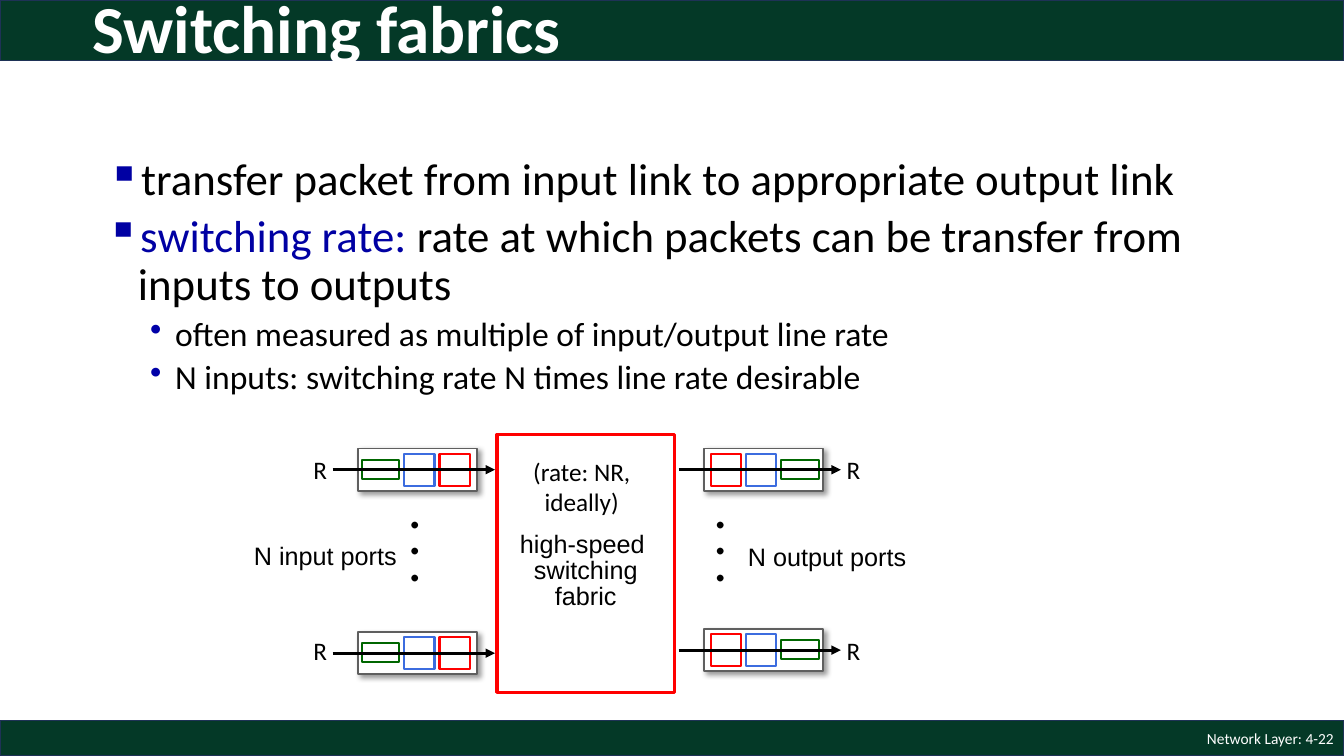
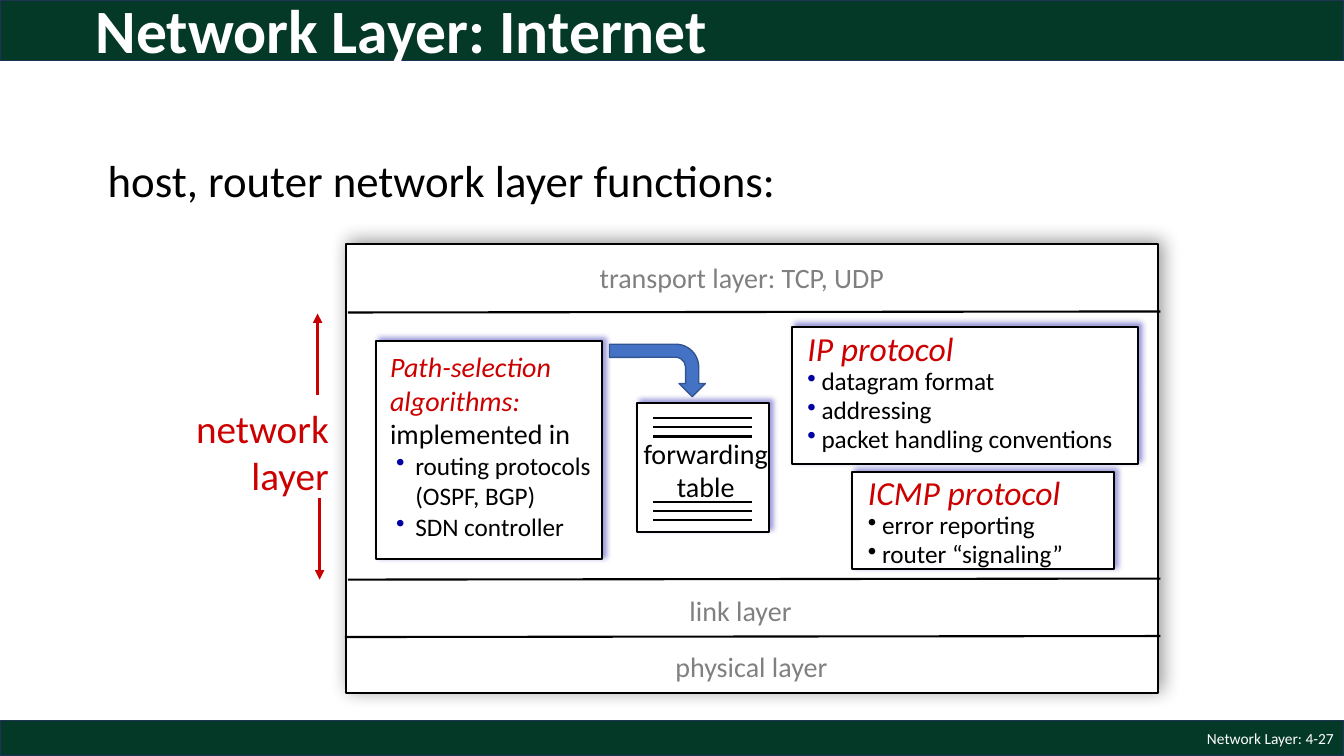
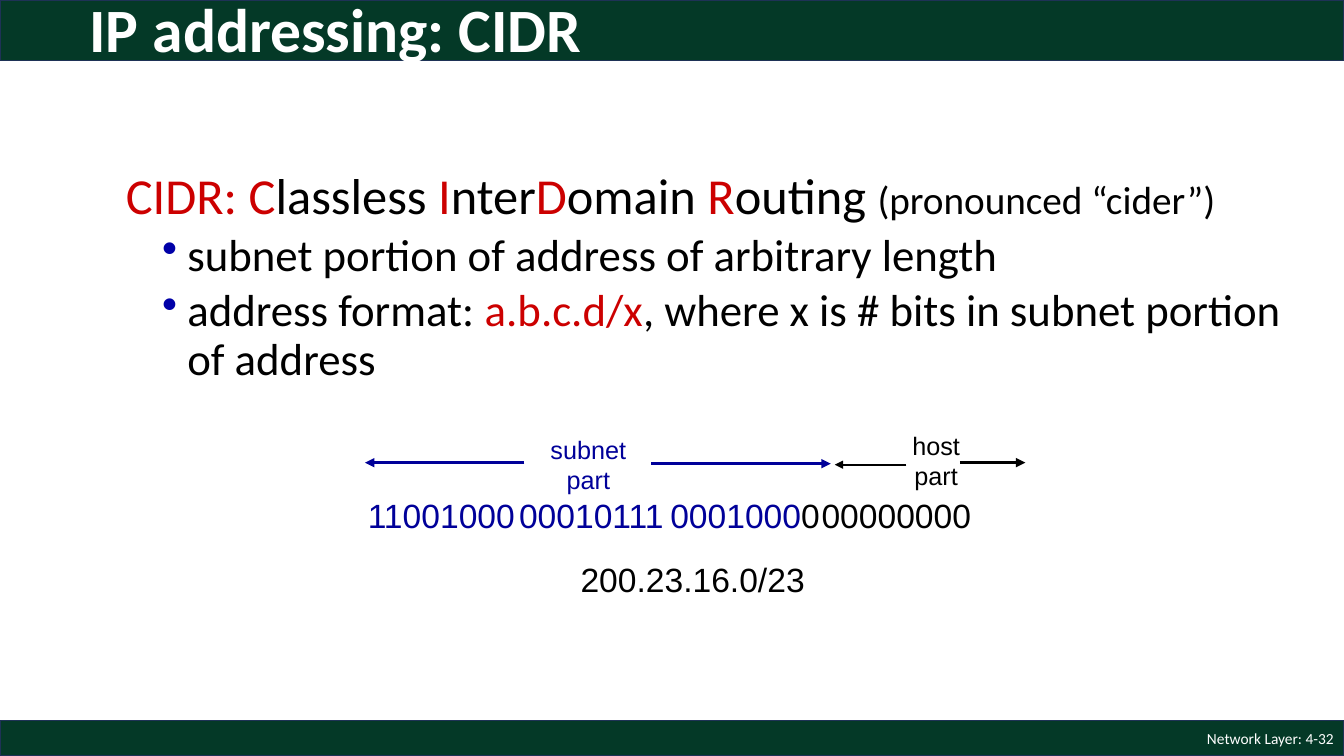
from dataclasses import dataclass
from typing import Any, NamedTuple, Optional

from lxml.etree import SubElement
from pptx import Presentation
from pptx.dml.color import RGBColor
from pptx.enum.shapes import MSO_CONNECTOR, MSO_SHAPE
from pptx.enum.text import MSO_ANCHOR, MSO_AUTO_SIZE, PP_ALIGN
from pptx.oxml.ns import qn
from pptx.util import Pt

PX = 9144  # EMU in one px, 100 px to the inch
WIDE, HIGH = 1333, 750
SANS, BODY = "Arial", "Calibri"
LEFT, MID, RIGHT = PP_ALIGN.LEFT, PP_ALIGN.CENTER, PP_ALIGN.RIGHT
HUES = {
    "black": "000000", "white": "FFFFFF", "band": "043927", "rim": "1E3256",
    "navy": "0000A3", "dot": "0000A8", "bits": "000099", "red": "CC0000",
    "hot": "FF0000", "green": "006600", "blue": "3C6CDF", "grey": "808080",
    "frame": "5F5F5F", "bend": "4472C4", "edge": "325491",
}


class Box(NamedTuple):
    x: int
    y: int
    w: int
    h: int


class Shade(NamedTuple):
    hue: str
    blur: int
    angle: int


class Run(NamedTuple):
    text: str
    size: int
    hue: str = "black"
    face: str = BODY
    bold: bool = False
    ital: bool = False


class Part(NamedTuple):
    """A cell of a port, placed from the frame's outer edge."""
    hue: str
    x: int
    y: int
    w: int
    h: int


@dataclass
class Para:
    runs: list[Run]
    align: Any = LEFT
    lead: float = 1.0
    before: int = 0
    mark: str = ""
    tint: str = "navy"
    left: int = 0
    hang: int = 0
    tabs: tuple[int, ...] = ()


GLOW = Shade("navy", 4, 315)
DROP = Shade("black", 4, 45)
PARTS = [Part("green", 4, 11, 37, 19), Part("blue", 46, 5, 30, 32),
         Part("hot", 81, 5, 30, 32)]


# Helpers
def rgb(hue: str) -> RGBColor:
    return RGBColor.from_string(HUES[hue])


def style(item: Any, form: dict[str, Any]) -> None:
    for name, value in form.items():
        setattr(item, name, value)


def shade(shape: Any, cast: Shade) -> None:
    shape.shadow.inherit = False
    node = SubElement(shape._element.spPr.find(qn("a:effectLst")),
                      qn("a:outerShdw"), blurRad=str(cast.blur * 12700),
                      dist="38100", dir=str(cast.angle * 60000),
                      algn="ctr", rotWithShape="0")
    color = SubElement(node, qn("a:srgbClr"), val=HUES[cast.hue])
    SubElement(color, qn("a:alpha"), val="40000")


def draw(slide: Any, box: Box, line: str, width: float, fill: str = "white",
         cast: Optional[Shade] = None, kind: Any = MSO_SHAPE.RECTANGLE,
         turn: int = 0) -> None:
    shape = slide.shapes.add_shape(kind, *(v * PX for v in box))
    shape.fill.solid()
    shape.fill.fore_color.rgb = rgb(fill)
    style(shape.line, {"width": Pt(width)})
    shape.line.color.rgb = rgb(line)
    shape.rotation = turn
    shape.shadow.inherit = False
    if cast:
        shade(shape, cast)


def rule(slide: Any, x1: int, y1: int, x2: int, y2: int, hue: str = "black",
         width: float = 1.5, head: bool = False) -> None:
    line = slide.shapes.add_connector(
        MSO_CONNECTOR.STRAIGHT, *(v * PX for v in (x1, y1, x2, y2)))
    line.line.color.rgb = rgb(hue)
    line.line.width = Pt(width)
    if head:
        SubElement(line.line._get_or_add_ln(), qn("a:tailEnd"), type="triangle")
    SubElement(line._element.spPr, qn("a:effectLst"))


def fill(spot: Any, para: Para) -> None:
    props = spot._p.get_or_add_pPr()
    props.set("marL", str(para.left * PX))
    props.set("indent", str(-para.hang * PX))
    if para.mark:
        color = SubElement(props, qn("a:buClr"))
        SubElement(color, qn("a:srgbClr"), val=HUES[para.tint])
        SubElement(props, qn("a:buChar"), char=para.mark)
    else:
        SubElement(props, qn("a:buNone"))
    if para.tabs:
        stops = SubElement(props, qn("a:tabLst"))
        for stop in para.tabs:
            SubElement(stops, qn("a:tab"), pos=str(stop * PX), algn="l")
    style(spot, {"alignment": para.align, "line_spacing": para.lead,
                 "space_before": Pt(para.before)})
    for run in para.runs:
        piece = spot.add_run()
        piece.text = run.text
        style(piece.font, {"size": Pt(run.size), "name": run.face,
                           "bold": run.bold, "italic": run.ital})
        piece.font.color.rgb = rgb(run.hue)


def write(slide: Any, box: Box, paras: list[Para], wrap: bool = True,
          grow: bool = True, mid: bool = False, turn: int = 0) -> None:
    shape = slide.shapes.add_textbox(*(v * PX for v in box))
    shape.rotation = turn
    frame = shape.text_frame
    style(frame, {
        "word_wrap": wrap,
        "auto_size": MSO_AUTO_SIZE.SHAPE_TO_FIT_TEXT if grow else MSO_AUTO_SIZE.NONE,
        "vertical_anchor": MSO_ANCHOR.MIDDLE if mid else MSO_ANCHOR.TOP,
    })
    for i, para in enumerate(paras):
        fill(frame.add_paragraph() if i else frame.paragraphs[0], para)


def label(slide: Any, box: Box, lines: list[str], size: int,
          hue: str = "black", face: str = BODY, align: Any = LEFT,
          lead: float = 1.0) -> None:
    write(slide, box, [Para([Run(t, size, hue, face)], align, lead)
                       for t in lines], wrap=False)


def point(runs: list[Run]) -> Para:
    return Para(runs, lead=0.9, before=5, mark="•", tint="dot", left=76, hang=25)


def start(deck: Any, page: int) -> Any:
    """Blank slide with both bands and the footer."""
    slide = deck.slides.add_slide(deck.slide_layouts[6])
    for y, h in ((715, 35), (0, 60)):
        draw(slide, Box(0, y, WIDE, h), "rim", 1, "band")
    write(slide, Box(1033, 715, 300, 35),
          [Para([Run(f"Network Layer: 4-{page}", 11, "white")], RIGHT)],
          grow=False, mid=True)
    return slide


def title(slide: Any, text: str, x: int, y: int, size: int = 44) -> None:
    write(slide, Box(x, y, 1150, 98),
          [Para([Run(text, size, "white", bold=True)], lead=0.9)],
          grow=False, mid=True)


# Switching fabrics
def port(slide: Any, x: int, y: int, flip: bool) -> None:
    draw(slide, Box(x, y, 118, 42), "frame", 1.25, cast=DROP)
    for part in PARTS:
        side = 118 - part.x - part.w if flip else part.x
        draw(slide, Box(x + side, y + part.y, part.w, part.h), part.hue, 1.5)
    rule(slide, x - 25, y + 21, x + 136, y + 21, width=2.25, head=True)


def fabric(deck: Any) -> None:
    slide = start(deck, 22)
    title(slide, "Switching fabrics", 82, -18, 48)
    square = {"lead": 0.9, "mark": "▪", "left": 39, "hang": 31}
    write(slide, Box(89, 151, 1207, 69), [Para([Run(
        "transfer packet from input link to appropriate output link", 32)],
        **square)], grow=False)
    write(slide, Box(88, 207, 1207, 253), [
        Para([Run("switching rate: ", 32, "navy"),
              Run("rate at which packets can be transfer from inputs to outputs",
                  32)], **square),
        point([Run("often measured as multiple of input/output line rate", 24)]),
        point([Run("N inputs: switching rate N times line rate desirable", 24)]),
    ], grow=False)

    # Fabric
    draw(slide, Box(493, 431, 176, 256), "hot", 2.25)
    label(slide, Box(505, 524, 152, 87), ["high-speed ", "switching", "fabric"],
          18, face=SANS, align=MID, lead=0.85)
    write(slide, Box(504, 448, 146, 71),
          [Para([Run("(rate: NR, ideally)", 18)], MID)])

    # Ports
    for x, y, flip in ((355, 445, False), (355, 627, False),
                       (698, 445, True), (698, 624, True)):
        port(slide, x, y, flip)
    label(slide, Box(242, 531, 163, 40), ["N input ports"], 18, face=SANS)
    label(slide, Box(732, 532, 179, 40), ["N output ports"], 18, face=SANS)
    for x in (380, 683):
        write(slide, Box(x, 509, 101, 77), [Para([Run(". . .", 40)], MID)],
              turn=90)
    for x in (301, 830):
        for y in (446, 625):
            label(slide, Box(x, y, 34, 40), ["R"], 18)


# Network layer
def notes(head: str, items: list[str], tint: str) -> list[Para]:
    return [Para([Run(head, 24, "red", ital=True)])] + [
        Para([Run(t, 18)], lead=0.95, mark="•", tint=tint, left=14, hang=14)
        for t in items]


def layer(deck: Any) -> None:
    slide = start(deck, 27)
    title(slide, "Network Layer: Internet", 85, -16)
    write(slide, Box(97, 155, 824, 48), [Para(
        [Run("host, router network layer functions:", 32)], lead=0.85)],
        grow=False)

    # Stack
    draw(slide, Box(343, 242, 806, 446), "black", 1.5,
         cast=Shade("black", 13, 315))
    for x, y in ((342, 632), (345, 575), (345, 310)):
        rule(slide, x, y, 1151, y - 1)
    for text, box in (("transport layer: TCP, UDP", Box(585, 254, 310, 44)),
                      ("link layer", Box(674, 584, 123, 44)),
                      ("physical layer", Box(660, 639, 174, 44))):
        label(slide, box, [text], 20, "grey")
    label(slide, Box(182, 396, 154, 104), ["network", "layer"], 28, "red",
          align=RIGHT)
    for x, tail, tip in ((315, 392, 311), (317, 494, 575)):
        rule(slide, x, tail, x, tip, "red", 2.25, True)

    # Protocols
    for box in (Box(786, 324, 343, 136), Box(845, 468, 260, 97),
                Box(632, 400, 131, 128), Box(373, 338, 224, 217)):
        draw(slide, box, "black", 1.5, cast=GLOW)
    write(slide, Box(791, 320, 333, 137), notes("IP protocol", [
        "datagram format", "addressing", "packet handling conventions"], "navy"))
    write(slide, Box(851, 463, 269, 106), notes("ICMP protocol", [
        "error reporting", "router “signaling”"], "black"))

    # Forwarding table
    label(slide, Box(627, 428, 146, 77), ["forwarding", "table"], 20, align=MID)
    for top in (415, 498):
        for i in range(3):
            rule(slide, 648, top + 9 * i, 746, top + 9 * i)

    # Path selection
    write(slide, Box(377, 342, 232, 202), [
        Para([Run("Path-selection algorithms: ", 20, "red", ital=True),
              Run("implemented in", 20)])] + [
        Para([Run(t, 18)], mark="•", left=25, hang=19)
        for t in ("routing protocols (OSPF, BGP)", "SDN controller")])
    draw(slide, Box(626, 320, 52, 95), "edge", 1, "bend",
         kind=MSO_SHAPE.BENT_ARROW, turn=90)


# Addressing
def cidr(deck: Any) -> None:
    slide = start(deck, 32)
    title(slide, "IP addressing: CIDR", 79, -17)
    words = (("CIDR: C", "lassless "), ("I", "nter"), ("D", "omain "),
             ("R", "outing "))
    name = [Run(text, 36, hue) for pair in words
            for text, hue in zip(pair, ("red", "black"))]
    write(slide, Box(100, 165, 1213, 227), [
        Para(name + [Run("(pronounced “cider”)", 28)], lead=0.9, left=39,
             hang=24),
        point([Run("subnet portion of address of arbitrary length", 32)]),
        point([Run("address format: ", 32), Run("a.b.c.d/x", 32, "red"),
               Run(", where x is # bits in subnet portion of address", 32)]),
    ], grow=False)

    # Address bits
    write(slide, Box(355, 486, 670, 50), [Para([
        Run("11001000\t00010111\t0001000", 24, "bits", SANS),
        Run("0\t00000000", 24, face=SANS)], tabs=(165, 326, 493))])
    label(slide, Box(566, 550, 243, 50), ["200.23.16.0/23"], 24, face=SANS)

    # Spans
    label(slide, Box(536, 426, 95, 70), ["subnet", "part"], 18, "bits", SANS, MID)
    label(slide, Box(895, 422, 67, 70), ["host", "part"], 18, "black", SANS, MID)
    for tail, tip, y, hue, width in (
            (520, 362, 459, "bits", 2.25), (646, 824, 460, "bits", 2.25),
            (899, 828, 461, "black", 1.5), (952, 1017, 459, "black", 2.25)):
        rule(slide, tail, y, tip, y, hue, width, True)


def main() -> None:
    deck = Presentation()
    style(deck, {"slide_width": WIDE * PX, "slide_height": HIGH * PX})
    for build in (fabric, layer, cidr):
        build(deck)
    deck.save("out.pptx")


if __name__ == "__main__":
    main()
